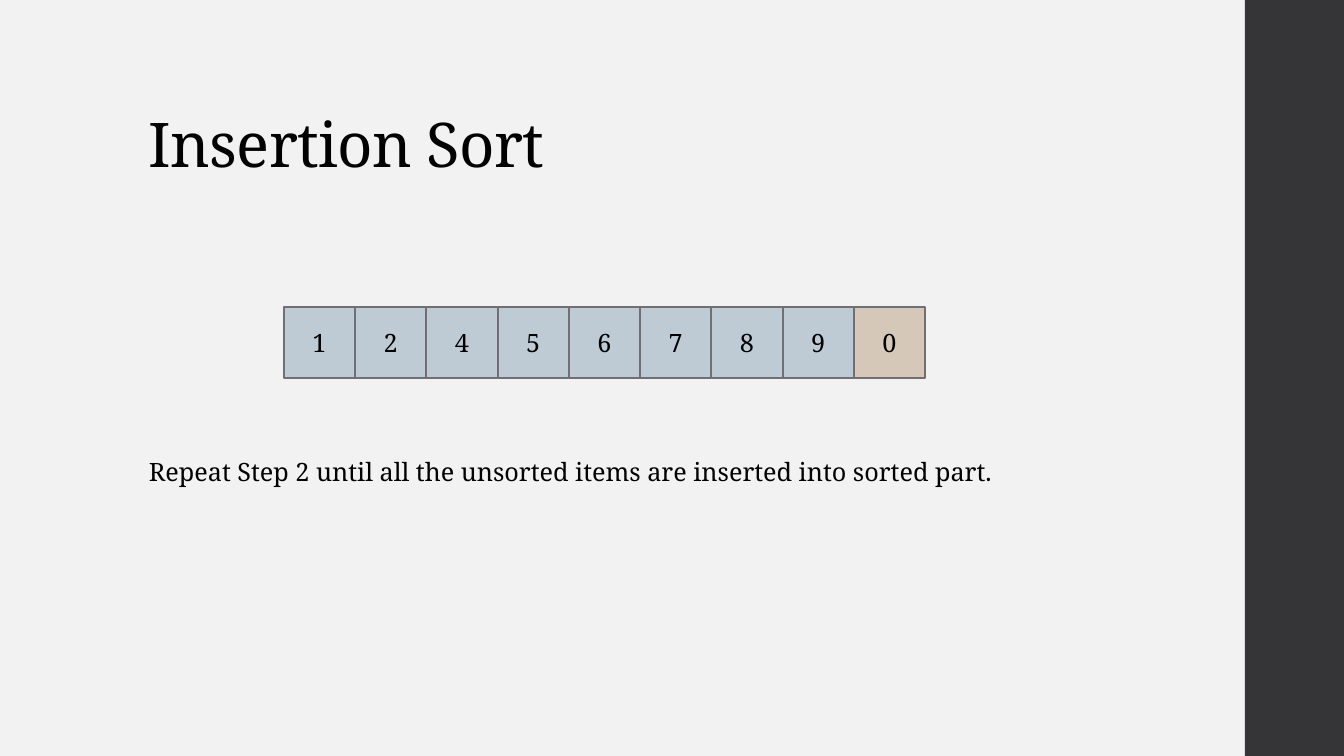
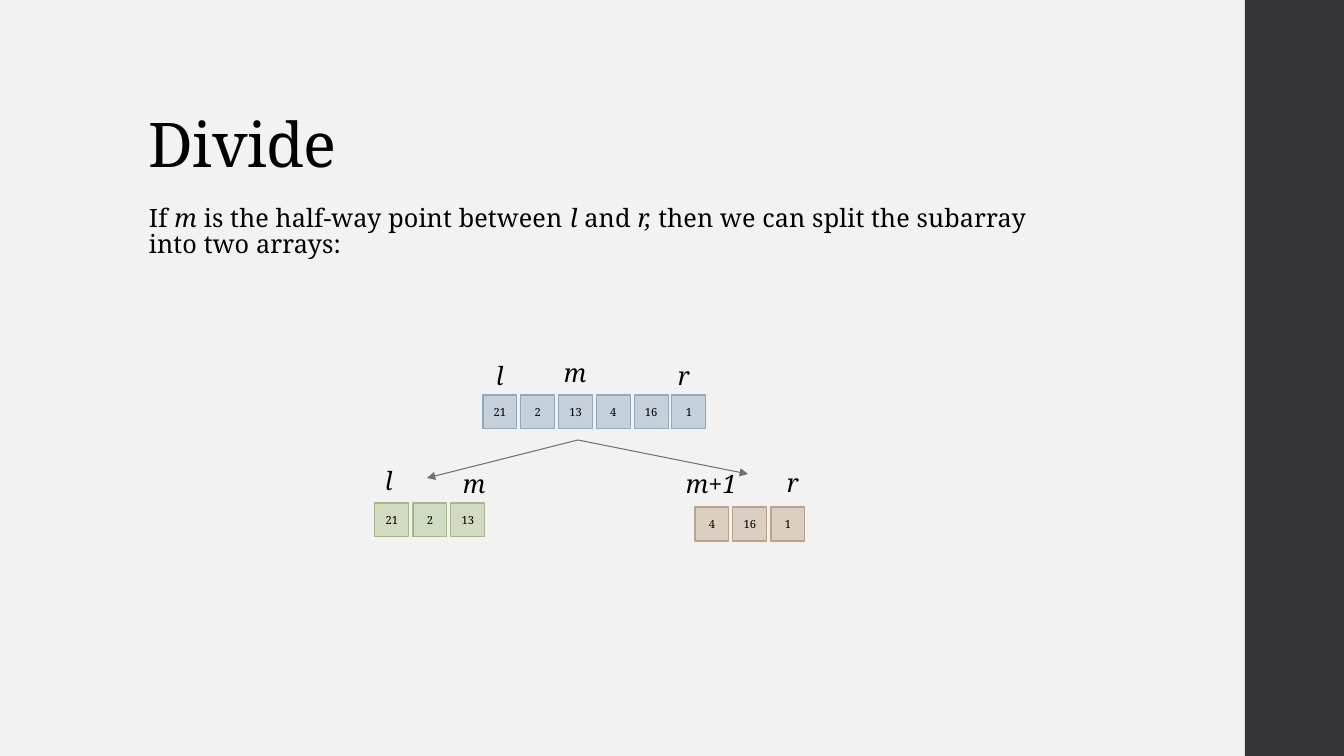
from lxml import etree
from pptx import Presentation
from pptx.dml.color import RGBColor
from pptx.enum.shapes import MSO_CONNECTOR, MSO_SHAPE
from pptx.enum.text import MSO_ANCHOR, PP_ALIGN
from pptx.oxml.ns import qn
from pptx.util import Emu, Pt

RECT = MSO_SHAPE.RECTANGLE
STRAIGHT = MSO_CONNECTOR.STRAIGHT
TOP, MIDDLE, BOTTOM = MSO_ANCHOR.TOP, MSO_ANCHOR.MIDDLE, MSO_ANCHOR.BOTTOM
CENTER = PP_ALIGN.CENTER

PAPER = RGBColor(0xF2, 0xF2, 0xF2)
DARK = RGBColor(0x35, 0x35, 0x37)
BLACK = RGBColor(0x00, 0x00, 0x00)
GRAY = RGBColor(0x6F, 0x6F, 0x74)
STEEL = RGBColor(0xBE, 0xCB, 0xD5)
SAND = RGBColor(0xD5, 0xC8, 0xB8)
# Fill and line of each small array
BLUE = RGBColor(0xC5, 0xD1, 0xDA), RGBColor(0x92, 0xA9, 0xB9)
GREEN = RGBColor(0xD1, 0xDA, 0xC2), RGBColor(0xA7, 0xB7, 0x89)
TAN = RGBColor(0xDB, 0xCF, 0xC2), RGBColor(0xB9, 0xA4, 0x89)

FONT = "Noto Serif"
WIDE, HIGH = 1344, 756
LEFT = 139


def px(*sizes):
    return [Emu(round(size * 914400 / 100.8)) for size in sizes]


class Deck:
    def __init__(self):
        self.prs = Presentation()
        self.prs.slide_width, self.prs.slide_height = px(WIDE, HIGH)
        self.slide = None

    def page(self, title):
        """Start a slide with its background, side band and title."""
        self.slide = self.prs.slides.add_slide(self.prs.slide_layouts[6])
        fill = self.slide.background.fill
        fill.solid()
        fill.fore_color.rgb = PAPER
        self.rect(1245, 0, WIDE - 1245, HIGH, DARK)
        self.text([title], LEFT, 40, 1068, 146, size=44, anchor=BOTTOM,
                  lead=0.9, track=-50)

    def style(self, para, size):
        font = para.font
        font.name, font.size = FONT, Pt(size)
        font.color.rgb = BLACK

    def rect(self, x, y, w, h, fill, line=None, weight=0.75):
        shape = self.slide.shapes.add_shape(RECT, *px(x, y, w, h))
        shape.shadow.inherit = False
        shape.fill.solid()
        shape.fill.fore_color.rgb = fill
        if line is None:
            shape.line.fill.background()
        else:
            shape.line.color.rgb = line
            shape.line.width = Pt(weight)
        return shape

    def text(self, parts, x, y, w, h, size=18, anchor=TOP, lead=None,
             track=None, wrap=True):
        """Add one paragraph; every second part is italic."""
        frame = self.slide.shapes.add_textbox(*px(x, y, w, h)).text_frame
        frame.word_wrap = wrap
        frame.vertical_anchor = anchor
        para = frame.paragraphs[0]
        self.style(para, size)
        if lead:
            para.line_spacing = lead
        for i, part in enumerate(parts):
            if not part:
                continue
            run = para.add_run()
            run.text = part
            if i % 2:
                run.font.italic = True
            if track:
                run._r.get_or_add_rPr().set("spc", str(track))

    def label(self, name, x, y, w):
        self.text(["", name], x, y, w, 40, wrap=False)

    def row(self, items, x, y, w, side, fill, line, size=8, weight=0.75):
        """Spread square cells evenly over the width w."""
        step = (w - side) / (len(items) - 1)
        cells = []
        for i, item in enumerate(items):
            cell = self.rect(x + i * step, y, side, side, fill, line, weight)
            frame = cell.text_frame
            frame.margin_left = frame.margin_right = 0
            frame.vertical_anchor = MIDDLE
            para = frame.paragraphs[0]
            para.text = str(item)
            para.alignment = CENTER
            self.style(para, size)
            cells.append(cell)
        return cells

    def arrow(self, x1, y1, x2, y2):
        link = self.slide.shapes.add_connector(STRAIGHT, *px(x1, y1, x2, y2))
        link.line.color.rgb = GRAY
        link.line.width = Pt(0.75)
        etree.SubElement(link.line._get_or_add_ln(), qn("a:tailEnd"),
                         type="triangle")
        etree.SubElement(link._element.spPr, qn("a:effectLst"))


deck = Deck()

# Insertion sort: sorted part, then the last unsorted item
deck.page("Insertion Sort")
cells = deck.row([1, 2, 4, 5, 6, 7, 8, 9, 0], 284, 307, 641, 71,
                 STEEL, GRAY, size=18, weight=1.1)
cells[-1].fill.fore_color.rgb = SAND
deck.text(["Repeat Step 2 until all the unsorted items are inserted into "
           "sorted part."], LEFT, 451, 1040, 102)

# Divide: one array split into two halves
deck.page("Divide")
deck.text(["If ", "m", " is the half-way point between ", "l", " and ", "r, ",
           "then we can split the subarray into two arrays:"],
          LEFT, 202, 948, 480, lead=0.85, track=10)
items = [21, 2, 13, 4, 16, 1]
deck.row(items, 483, 395, 223, 34, *BLUE)
deck.row(items[:3], 375, 503, 110, 34, *GREEN)
deck.row(items[3:], 695, 507, 110, 34, *TAN)

# Index labels
for name, x, y, w in [("l", 486, 355, 29), ("m", 554, 352, 43),
                      ("r", 668, 355, 31), ("l", 375, 460, 29),
                      ("m", 453, 463, 43), ("m+1", 676, 463, 74),
                      ("r", 777, 462, 31)]:
    deck.label(name, x, y, w)

# Arrows from the whole to its halves
deck.arrow(578, 440, 427, 478)
deck.arrow(578, 440, 748, 474)

deck.prs.save("out.pptx")
